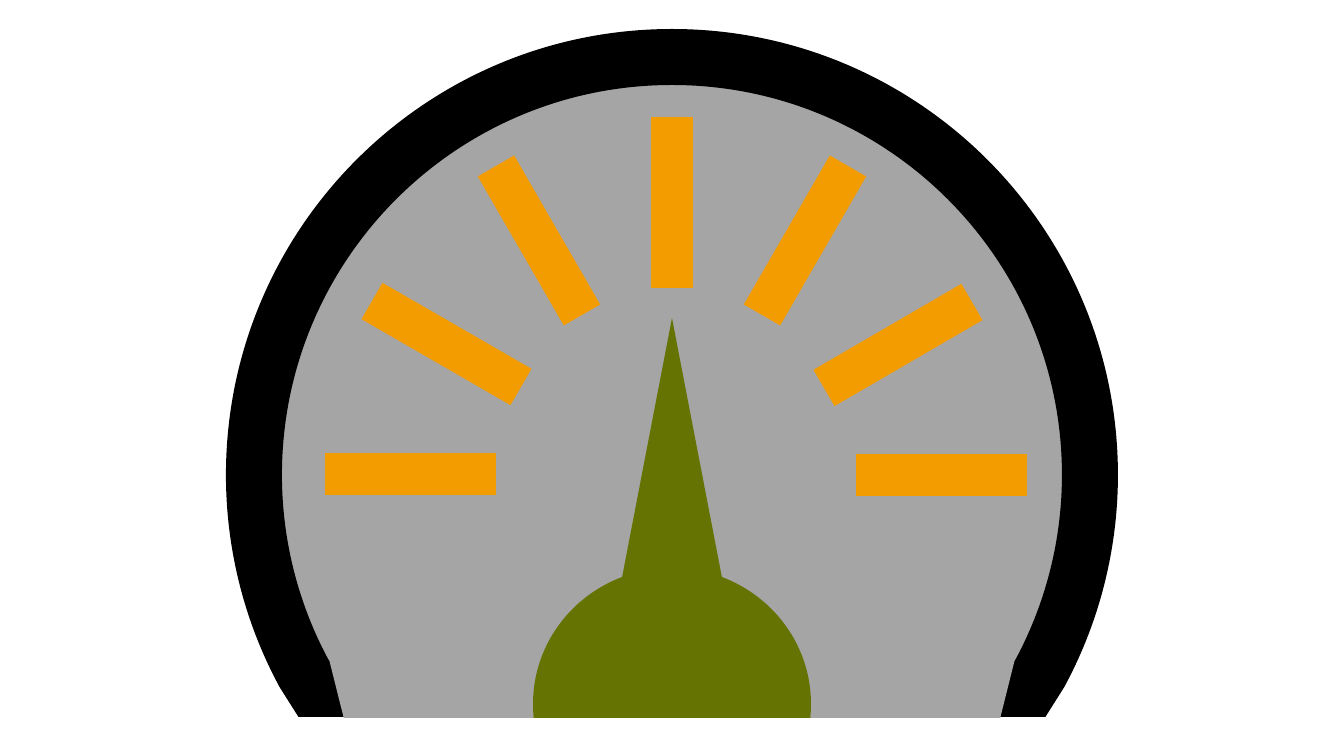
from dataclasses import dataclass
from itertools import pairwise
from math import asin, cos, pi, sin, tan

from lxml.etree import SubElement
from pptx import Presentation
from pptx.dml.color import RGBColor as Color
from pptx.enum.shapes import MSO_CONNECTOR as Connector, MSO_SHAPE as Shape
from pptx.oxml.ns import qn
from pptx.util import Pt

# Content: lengths in px
SLIDE = (1344, 756)
# center x, center y, radius x, radius y, y where the arc ends, bottom y, half width of base
FACE = (672, 473, 412, 412, 669, 689, 350)
RIM = (672, 475, 418, 418, 673, 689, 358)
HUB = (672, 704, 139, 136, 718, 718, 138)
BASE = (325, 643, 694, 75)
NEEDLE = (615, 318, 114, 296)
# x and y of both ends
TICKS = [
    (672, 117, 672, 288),
    (848, 166, 762, 315),
    (972, 302, 824, 388),
    (856, 475, 1027, 475),
    (496, 166, 582, 315),
    (372, 301, 521, 387),
    (325, 474, 496, 474),
]


@dataclass(frozen=True)
class Theme:
    face: Color = Color.from_string("A5A5A5")
    rim: Color = Color.from_string("000000")
    needle: Color = Color.from_string("647301")
    tick: Color = Color.from_string("F29C00")
    rim_width: int = Pt(40)
    tick_width: int = Pt(30)


THEME = Theme()


def px(length):
    return round(length * 914400 / 100.8)


def paint(shape, color):
    shape.shadow.inherit = False
    shape.fill.solid()
    shape.fill.fore_color.rgb = color
    shape.line.fill.background()


def arc_points(start, end):
    """Two control points and the end point of a unit arc."""
    pull = 4 / 3 * tan((end - start) / 4)
    return [
        (cos(start) - pull * sin(start), sin(start) + pull * cos(start)),
        (cos(end) + pull * sin(end), sin(end) - pull * cos(end)),
        (cos(end), sin(end)),
    ]


def join_curve(steps):
    """Turn three straight steps into one cubic curve."""
    curve = steps[0].makeelement(qn("a:cubicBezTo"))
    steps[0].addprevious(curve)
    for step in steps:
        curve.append(step[0])
        step.getparent().remove(step)


def add_dome(page, center_x, center_y, radius_x, radius_y, arc_end, bottom, half_base):
    """Draw an arc over the top, closed by a flat base."""
    def place(points):
        return [(px(center_x + radius_x * x), px(center_y - radius_y * y)) for x, y in points]

    dip = asin((arc_end - center_y) / radius_y)
    right, left = (
        place([point for pair in pairwise(angles) for point in arc_points(*pair)])
        for angles in ((pi / 2, 0, -dip), (pi + dip, pi, pi / 2))
    )
    base = [(px(center_x + side * half_base), px(bottom)) for side in (1, -1)]
    left_end = place([(-cos(dip), -sin(dip))])

    builder = page.shapes.build_freeform(px(center_x), px(center_y - radius_y), scale=1.0)
    builder.add_line_segments(right + base + left_end + left, close=True)
    dome = builder.convert_to_shape()
    steps = list(dome._element.iter(qn("a:lnTo")))
    for first in (0, 3, 9, 12):
        join_curve(steps[first:first + 3])
    return dome


def add_tick(page, ends):
    tick = page.shapes.add_connector(Connector.STRAIGHT, *map(px, ends))
    tick.line.color.rgb = THEME.tick
    tick.line.width = THEME.tick_width
    SubElement(tick._element.spPr, qn("a:effectLst"))


def main():
    deck = Presentation()
    deck.slide_width, deck.slide_height = map(px, SLIDE)
    page = deck.slides.add_slide(deck.slide_layouts[6])

    # Dial face and rim
    paint(add_dome(page, *FACE), THEME.face)
    rim = add_dome(page, *RIM)
    rim.shadow.inherit = False
    rim.fill.background()
    rim.line.color.rgb = THEME.rim
    rim.line.width = THEME.rim_width
    SubElement(rim.line._get_or_add_ln(), qn("a:miter"), lim="800000")

    # Base, needle and hub
    base = page.shapes.add_shape(Shape.TRAPEZOID, *map(px, BASE))
    base.rotation = 180
    paint(base, THEME.face)
    needle = page.shapes.add_shape(Shape.ISOSCELES_TRIANGLE, *map(px, NEEDLE))
    paint(needle, THEME.needle)
    paint(add_dome(page, *HUB), THEME.needle)

    # Scale ticks
    for ends in TICKS:
        add_tick(page, ends)

    deck.save("out.pptx")


if __name__ == "__main__":
    main()
